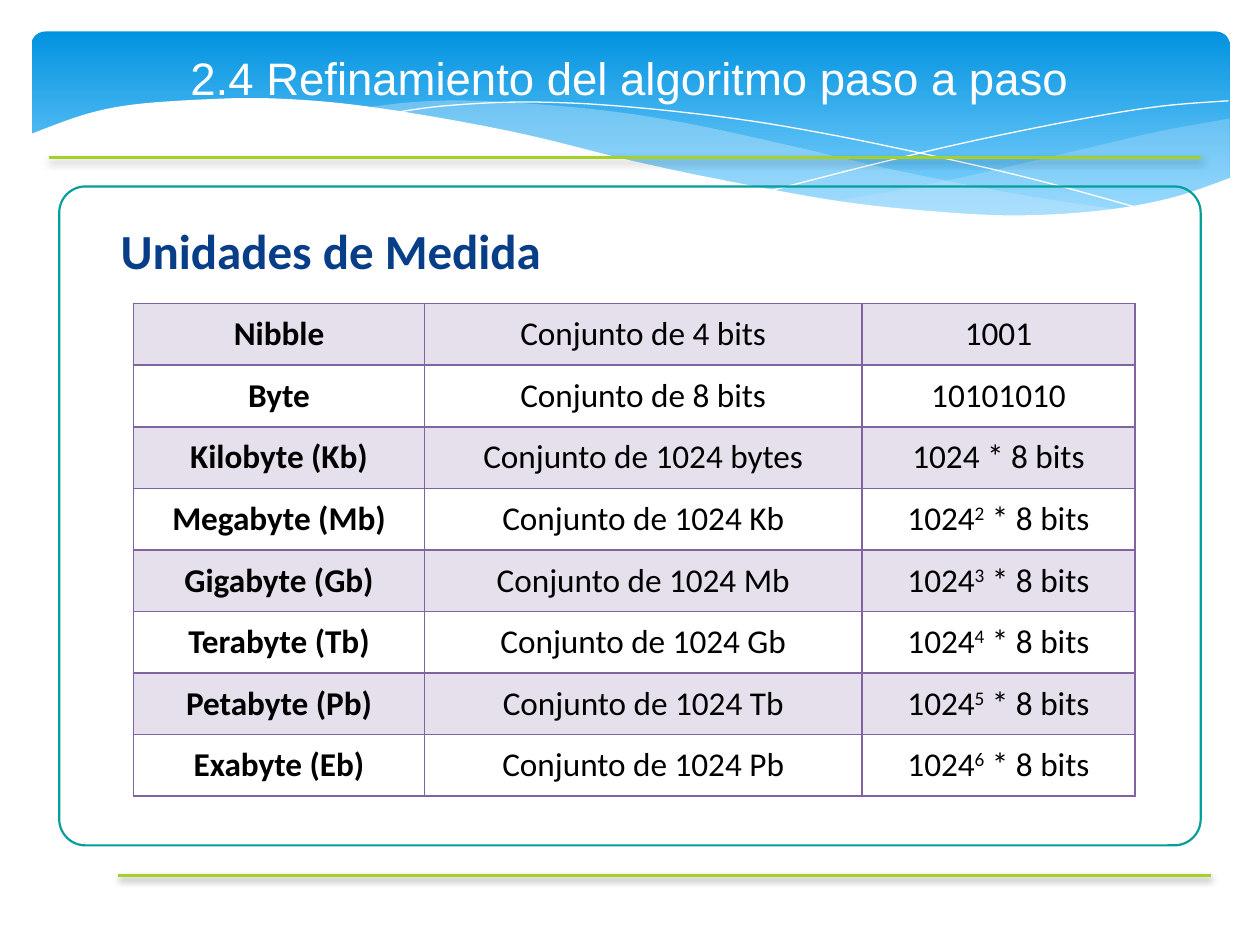
import pptx
import pptx.dml.color
import pptx.enum.shapes
import pptx.enum.text
import pptx.oxml
import pptx.oxml.ns
import pptx.util
from pptx.util import Inches

THEME = {
    "sky": "0293E0", "sky_light": "83D3FE", "mist": "C6E7FC", "white": "FFFFFF",
    "lime": "A5D028", "teal": "049E9B", "purple": "8064A2", "navy": "073E87", "black": "000000",
    "title_size": 26, "heading_size": 28, "cell_size": 19,
    "title_font": "Arial", "body_font": "Calibri",
}
COLOR = {name: pptx.dml.color.RGBColor.from_string(value)
         for name, value in THEME.items() if name not in
         ("title_size", "heading_size", "cell_size", "title_font", "body_font")}
NS = pptx.oxml.ns.nsdecls("a")
ALIGN = pptx.enum.text.PP_ALIGN
ANCHOR = pptx.enum.text.MSO_ANCHOR
SHAPE = pptx.enum.shapes.MSO_SHAPE

deck = pptx.Presentation()
deck.slide_width, deck.slide_height = Inches(10), Inches(7.5)
slide = deck.slides.add_slide(deck.slide_layouts[6])
shapes = slide.shapes


def write(frame, text, size, color, font=THEME["body_font"], bold=False, align=ALIGN.CENTER):
    paragraph = frame.paragraphs[0]
    paragraph.alignment = align
    for index, part in enumerate(text.split("^")):
        run = paragraph.add_run()
        run.text = part
        run.font.name = font
        run.font.size = pptx.util.Pt(THEME[size])
        run.font.bold = bold
        run.font.color.rgb = COLOR[color]
        if index % 2:
            run.font._element.set("baseline", "30000")


def draw_wave(curves, closed, steps=6):
    outline = []
    for knots in curves:
        padded = [knots[0], *knots, knots[-1]]
        for a, b, c, d in zip(padded, padded[1:], padded[2:], padded[3:]):
            for t in (step / steps for step in range(steps)):
                outline.append([Inches(0.5 * (2 * q + (r - p) * t
                                              + (2 * p - 5 * q + 4 * r - s) * t ** 2
                                              + (3 * q - p - 3 * r + s) * t ** 3))
                                for p, q, r, s in zip(a, b, c, d)])
        outline.append([Inches(value) for value in knots[-1]])
    builder = shapes.build_freeform(*outline[0])
    builder.add_line_segments(outline[1:], close=closed)
    shape = builder.convert_to_shape()
    shape.shadow.inherit = False
    return shape


banner = shapes.add_shape(SHAPE.ROUNDED_RECTANGLE, Inches(0.25), Inches(0.25), Inches(9.51), Inches(1.56))
banner.adjustments[0] = 0.07
banner.shadow.inherit = False
banner.line.fill.background()
banner.fill.gradient()
banner.fill.gradient_angle = 270
for stop, position, color in zip(banner.fill.gradient_stops, (0, 0.9), ("sky", "sky_light")):
    stop.position = position
    stop.color.rgb = COLOR[color]

right_wave = [
    [(9.76, 0.94), (9.21, 1.04), (8.61, 1.18), (7.53, 1.43), (6.61, 1.6)],
    [(6.61, 1.6), (7.19, 1.67), (7.81, 1.72), (8.35, 1.72), (8.89, 1.66), (9.35, 1.56), (9.76, 1.41)],
]
middle_wave = [
    [(8.93, 1.67), (8.07, 1.54), (7.06, 1.34), (6.29, 1.16), (5.41, 0.97), (4.65, 0.86),
     (3.8, 0.8), (3.28, 0.81), (2.86, 0.86)],
    [(2.86, 0.86), (3.62, 0.97), (4.49, 1.16), (5.3, 1.35), (6.18, 1.53), (6.95, 1.65),
     (7.61, 1.71), (8.18, 1.73), (8.57, 1.71), (8.93, 1.67)],
]
falling_line = [[(3.09, 0.9), (3.53, 0.84), (4.16, 0.81), (4.89, 0.84), (5.82, 0.94),
                 (6.65, 1.08), (7.6, 1.28), (8.31, 1.45), (9.07, 1.66)]]
rising_line = [[(6.13, 1.51), (6.95, 1.3), (7.76, 1.11), (8.66, 0.93), (9.24, 0.84), (9.75, 0.8)]]
front_wave = [
    [(9.77, 1.41), (9.3, 1.57), (8.75, 1.67), (8.09, 1.71), (7.44, 1.68), (6.68, 1.6),
     (5.79, 1.44), (5.03, 1.28), (4.18, 1.07), (3.4, 0.92), (2.71, 0.82), (2.11, 0.78),
     (1.61, 0.79), (1.06, 0.83), (0.67, 0.91), (0.23, 1.07)],
    [(0.23, 2.24), (9.77, 2.24)],
]
translucent = []
for curves, fill, opacity in (
    (right_wave, "mist", 29), (middle_wave, "mist", 40),
    (falling_line, None, 100), (rising_line, None, 100), (front_wave, "white", 100),
):
    wave = draw_wave(curves, closed=fill is not None)
    if fill:
        wave.fill.solid()
        wave.fill.fore_color.rgb = COLOR[fill]
        wave.line.fill.background()
        translucent.append((wave._element, opacity))
    else:
        wave.fill.background()
        wave.line.color.rgb = COLOR["white"]
        wave.line.width = pptx.util.Pt(0)

for left, right, y in ((0.39, 9.53, 1.25), (0.94, 9.61, 6.95)):
    rule = shapes.add_connector(pptx.enum.shapes.MSO_CONNECTOR.STRAIGHT,
                                Inches(right), Inches(y), Inches(left), Inches(y))
    rule.line.color.rgb = COLOR["lime"]
    rule.line.width = pptx.util.Pt(2)
    rule._element.spPr.append(pptx.oxml.parse_xml(
        f'<a:effectLst {NS}><a:outerShdw blurRad="50800" dist="25400" dir="5400000" rotWithShape="0">'
        f'<a:srgbClr val="{THEME["black"]}"><a:alpha val="38000"/></a:srgbClr></a:outerShdw></a:effectLst>'))

panel = shapes.add_shape(SHAPE.ROUNDED_RECTANGLE, Inches(0.47), Inches(1.48), Inches(9.06), Inches(5.23))
panel.adjustments[0] = 0.04
panel.shadow.inherit = False
panel.fill.background()
panel.line.color.rgb = COLOR["teal"]
panel.line.width = pptx.util.Pt(1.25)

units = [
    ("Nibble", "Conjunto de 4 bits", "1001"),
    ("Byte", "Conjunto de 8 bits", "10101010"),
    ("Kilobyte (Kb)", "Conjunto de 1024 bytes", "1024 * 8 bits"),
]
prefixes = ["Kilo", "Mega", "Giga", "Tera", "Peta", "Exa"]
for power, (smaller, prefix) in enumerate(zip(prefixes, prefixes[1:]), start=2):
    units.append((f"{prefix}byte ({prefix[0]}b)", f"Conjunto de 1024 {smaller[0]}b",
                  f"1024^{power}^ * 8 bits"))

units_table = shapes.add_table(len(units), 3, Inches(1.06), Inches(2.41), Inches(7.95), Inches(3.91)).table
units_table.first_row = units_table.horz_banding = False
for column, width in zip(units_table.columns, (2.31, 3.47, 2.17)):
    column.width = Inches(width)
for row_index, unit in enumerate(units):
    units_table.rows[row_index].height = Inches(3.91 / len(units))
    for column_index, text in enumerate(unit):
        cell = units_table.cell(row_index, column_index)
        cell.vertical_anchor = ANCHOR.MIDDLE
        write(cell.text_frame, text, size="cell_size", color="black", bold=column_index == 0)
        if row_index % 2:
            cell.fill.background()
        else:
            cell.fill.solid()
            cell.fill.fore_color.rgb = COLOR["purple"]
            translucent.append((cell._tc, 20))
        for order, side in enumerate(("lnL", "lnR", "lnT", "lnB")):
            cell._tc.tcPr.insert(order, pptx.oxml.parse_xml(
                f'<a:{side} {NS} w="12700"><a:solidFill><a:srgbClr val="{THEME["purple"]}"/>'
                f'</a:solidFill></a:{side}>'))

for element, opacity in translucent:
    for tint in element.xpath("./*/a:solidFill/a:srgbClr"):
        tint.append(pptx.oxml.parse_xml(f'<a:alpha {NS} val="{opacity * 1000}"/>'))

heading = shapes.add_textbox(Inches(0.86), Inches(1.7), Inches(5.09), Inches(0.57)).text_frame
heading.word_wrap = True
write(heading, "Unidades de Medida", size="heading_size", color="navy", bold=True, align=ALIGN.LEFT)

title = shapes.add_textbox(0, 0, Inches(10), Inches(1.23)).text_frame
title.word_wrap = True
title.vertical_anchor = ANCHOR.MIDDLE
write(title, "2.4 Refinamiento del algoritmo paso a paso", size="title_size", color="white",
      font=THEME["title_font"])

deck.save("out.pptx")
